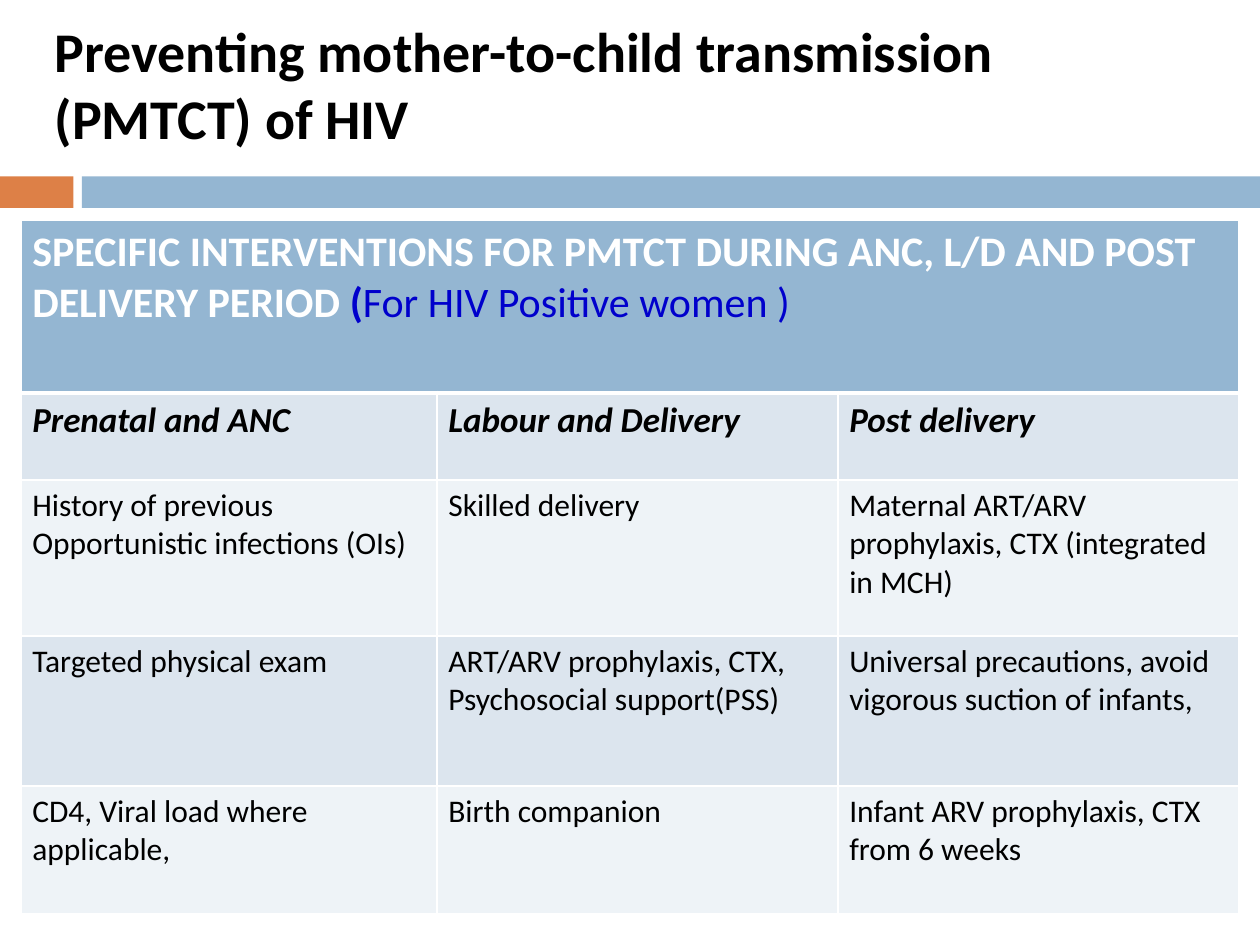
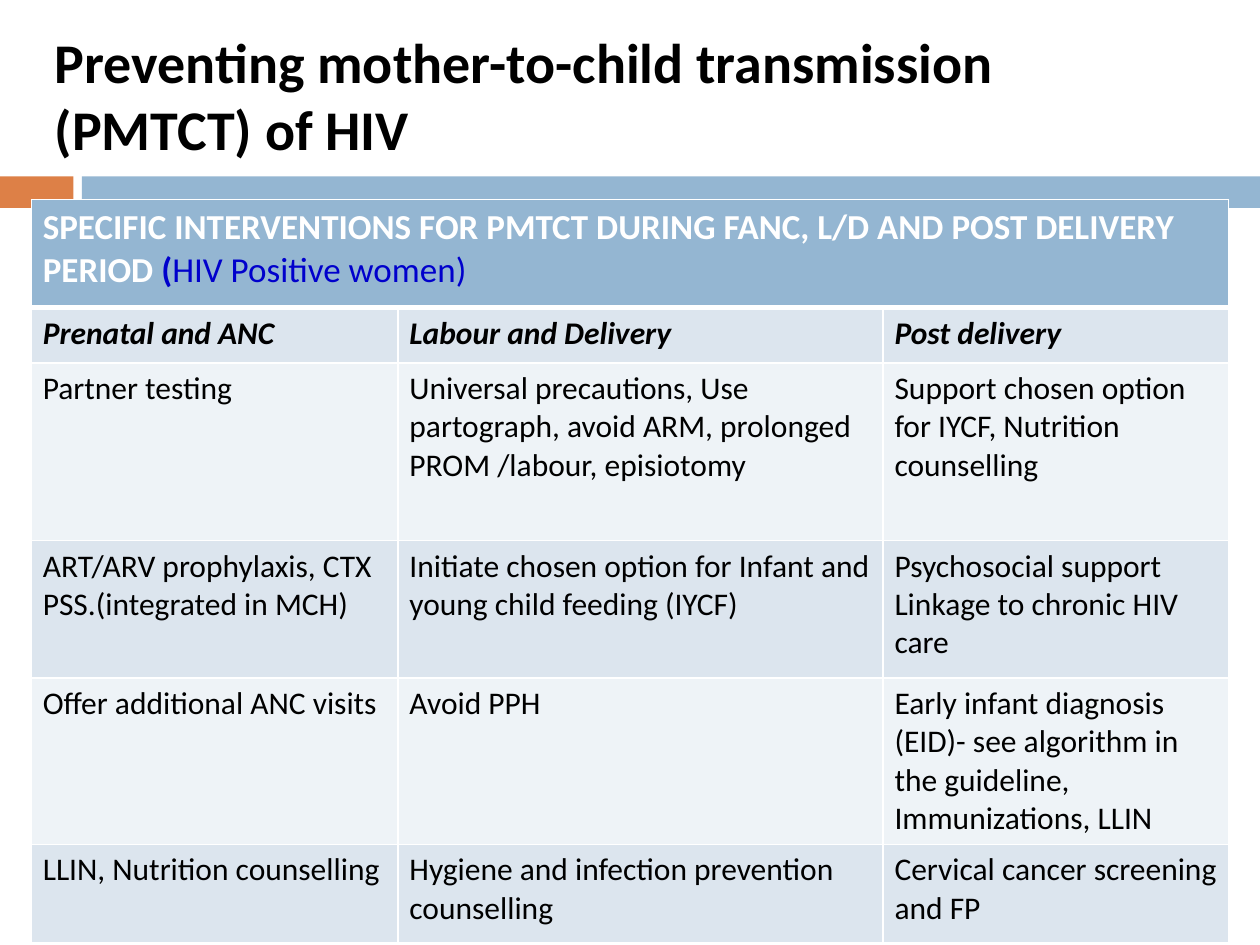
from dataclasses import dataclass

from lxml import etree
from pptx import Presentation
from pptx.dml.color import RGBColor
from pptx.enum.shapes import MSO_SHAPE
from pptx.enum.text import MSO_ANCHOR, MSO_AUTO_SIZE, PP_ALIGN
from pptx.oxml.ns import qn
from pptx.util import Inches, Pt

RECT = MSO_SHAPE.RECTANGLE
MIDDLE = MSO_ANCHOR.MIDDLE
LEFT = PP_ALIGN.LEFT
NO_FIT = MSO_AUTO_SIZE.NONE

WIDTH, HEIGHT = Inches(10), Inches(7.5)
COLUMNS, ROWS = 120, 90


@dataclass(frozen=True)
class Theme:
    font: str = "Calibri"
    text: str = "000000"
    white: str = "FFFFFF"
    note: str = "0000CC"
    accent: str = "DD8047"
    band: str = "94B6D2"
    stripes: tuple = ("DCE5EE", "EEF3F7")
    title_size: int = 32
    body_size: int = 18
    border: int = 1
    heading_border: int = 3


THEME = Theme()


@dataclass(frozen=True)
class Box:
    col: float
    row: float
    cols: float
    rows: float

    def emu(self):
        return (int(WIDTH * self.col / COLUMNS), int(HEIGHT * self.row / ROWS),
                int(WIDTH * self.cols / COLUMNS), int(HEIGHT * self.rows / ROWS))


BAND = Box(0, 16.8, 120, 3)
BAND_TAB, BAND_GAP = 7, 0.8
TITLE = "Preventing mother-to-child transmission (PMTCT) of HIV"
STAGES = ("Prenatal and ANC", "Labour and Delivery", "Post delivery")


def add_run(p, text, size=THEME.body_size, color=THEME.text, bold=False, italic=False):
    r = p.add_run()
    r.text = text
    f = r.font
    f.name, f.size, f.bold, f.italic = THEME.font, Pt(size), bold, italic
    f.color.rgb = RGBColor.from_string(color)


def add_bar(s, box, color):
    sp = s.shapes.add_shape(RECT, *box.emu())
    sp.shadow.inherit = False
    sp.fill.solid()
    sp.fill.fore_color.rgb = RGBColor.from_string(color)
    sp.line.fill.background()


def add_band(s, box):
    start = BAND_TAB + BAND_GAP
    add_bar(s, Box(box.col, box.row, BAND_TAB, box.rows), THEME.accent)
    add_bar(s, Box(box.col + start, box.row, box.cols - start, box.rows), THEME.band)


def add_title(s, box):
    sp = s.shapes.title
    sp.left, sp.top, sp.width, sp.height = box.emu()
    tf = sp.text_frame
    tf.word_wrap, tf.auto_size, tf.vertical_anchor = True, NO_FIT, MIDDLE
    p = tf.paragraphs[0]
    p.alignment = LEFT
    add_run(p, TITLE, size=THEME.title_size, bold=True)


def style_cell(cell, fill, bottom=THEME.border):
    tc_pr = cell._tc.get_or_add_tcPr()
    for side in "LRTB":
        width = bottom if side == "B" else THEME.border
        ln = etree.SubElement(tc_pr, qn(f"a:ln{side}"), w=str(Pt(width)))
        solid = etree.SubElement(ln, qn("a:solidFill"))
        etree.SubElement(solid, qn("a:srgbClr"), val=THEME.white)
    cell.fill.solid()
    cell.fill.fore_color.rgb = RGBColor.from_string(fill)
    cell.margin_left = cell.margin_right = Inches(0.09)
    cell.margin_top = cell.margin_bottom = Inches(0.05)


def fill_cell(cell, text, **format):
    tf = cell.text_frame
    for i, line in enumerate(text.split("\n")):
        p = tf.add_paragraph() if i else tf.paragraphs[0]
        add_run(p, line, **format)


def add_interventions(s, box, widths, heights, heading, note, body, heading_size, stage_size):
    left, top, width, height = box.emu()
    table = s.shapes.add_table(len(heights), len(widths), left, top, width, height).table
    for column, share in zip(table.columns, widths):
        column.width = int(width * share / sum(widths))
    for row, share in zip(table.rows, heights):
        row.height = int(height * share / sum(heights))

    for cell in table.rows[0].cells:
        style_cell(cell, THEME.band, bottom=THEME.heading_border)
    first = table.cell(0, 0)
    first.merge(table.cell(0, len(widths) - 1))
    p = first.text_frame.paragraphs[0]
    add_run(p, heading + " ", size=heading_size, color=THEME.white, bold=True)
    add_run(p, "(", size=heading_size, color=THEME.note, bold=True)
    add_run(p, note, size=heading_size, color=THEME.note)

    for i, texts in enumerate([STAGES, *body]):
        is_stage = i == 0
        size = stage_size if is_stage else THEME.body_size
        for j, text in enumerate(texts):
            cell = table.cell(i + 1, j)
            style_cell(cell, THEME.stripes[i % 2])
            fill_cell(cell, text, size=size, bold=is_stage, italic=is_stage)


def add_slide(prs, title_box, **table):
    s = prs.slides.add_slide(prs.slide_layouts[5])
    add_band(s, BAND)
    add_title(s, title_box)
    add_interventions(s, **table)


def main():
    prs = Presentation()
    prs.slide_width, prs.slide_height = WIDTH, HEIGHT
    add_slide(
        prs, Box(4, 0, 111, 16),
        box=Box(2, 21, 116, 66),
        widths=(3.3, 3.18, 3.18),
        heights=(1.37, 0.69, 1.24, 1.19, 1.01),
        heading="SPECIFIC INTERVENTIONS FOR PMTCT DURING ANC, L/D AND POST DELIVERY PERIOD",
        note="For HIV Positive women )",
        body=[
            ("History of previous Opportunistic infections (OIs)",
             "Skilled delivery",
             "Maternal ART/ARV prophylaxis, CTX (integrated in MCH)"),
            ("Targeted physical exam",
             "ART/ARV prophylaxis, CTX, Psychosocial support(PSS)",
             "Universal precautions, avoid vigorous suction of infants,"),
            ("CD4, Viral load where applicable,",
             "Birth companion",
             "Infant ARV prophylaxis, CTX from 6 weeks"),
        ],
        heading_size=24, stage_size=20)
    add_slide(
        prs, Box(4, 3, 110, 12),
        box=Box(3, 19, 114, 68),
        widths=(2.91, 3.85, 2.74),
        heights=(0.86, 0.44, 1.41, 1.09, 1.09, 0.78),
        heading="SPECIFIC INTERVENTIONS FOR PMTCT DURING FANC, L/D AND POST DELIVERY PERIOD",
        note="HIV Positive women)",
        body=[
            ("Partner testing",
             "Universal precautions, Use partograph, avoid ARM, prolonged PROM /labour, episiotomy",
             "Support chosen option for IYCF, Nutrition counselling"),
            ("ART/ARV prophylaxis, CTX PSS.(integrated in MCH)",
             "Initiate chosen option for Infant and young child feeding (IYCF)",
             "Psychosocial support\nLinkage to chronic HIV care"),
            ("Offer additional ANC visits",
             "Avoid PPH",
             "Early infant diagnosis (EID)- see algorithm in the guideline, Immunizations, LLIN"),
            ("LLIN, Nutrition counselling",
             "Hygiene and infection prevention counselling",
             "Cervical cancer screening and FP"),
        ],
        heading_size=20, stage_size=18)
    prs.save("out.pptx")


if __name__ == "__main__":
    main()
